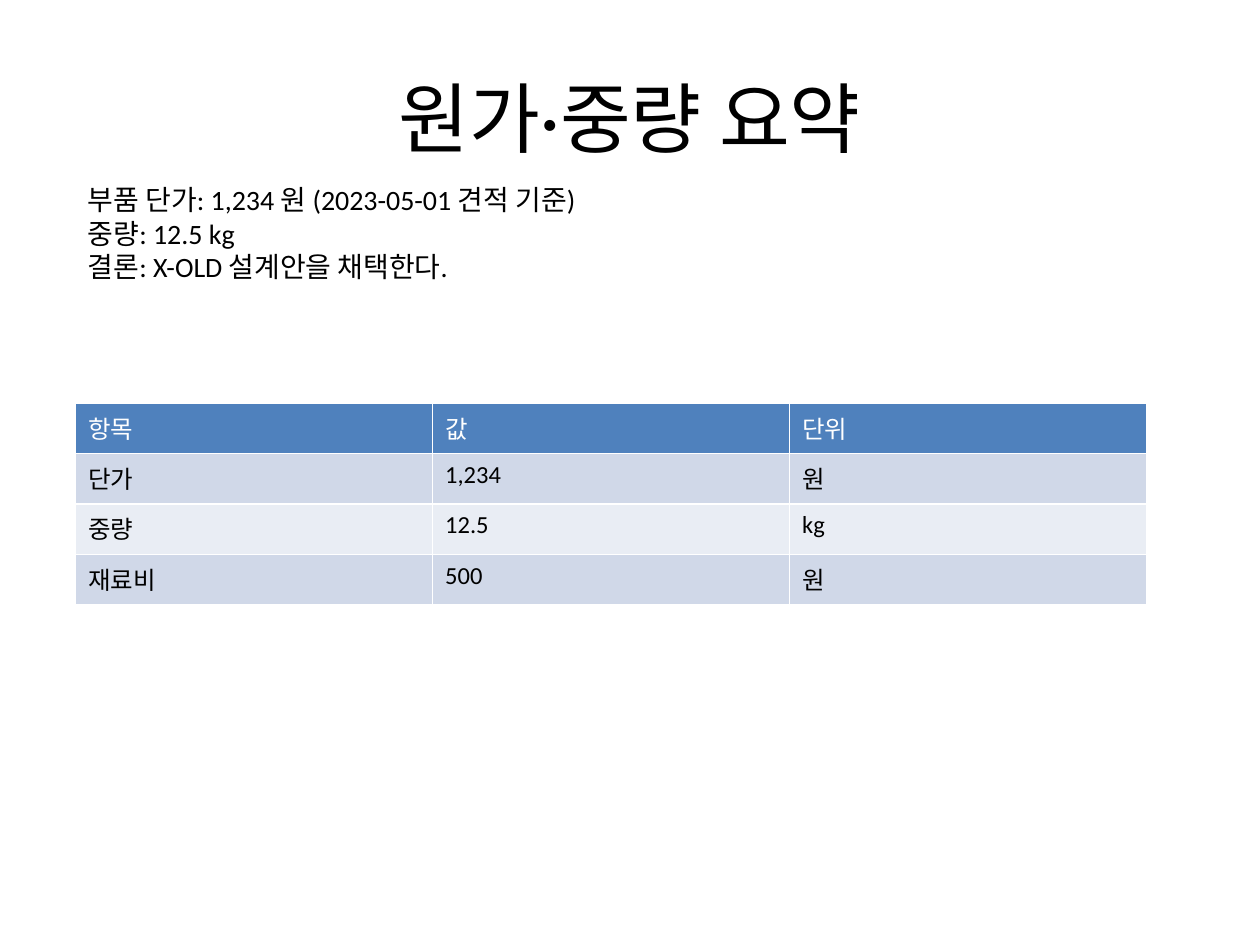
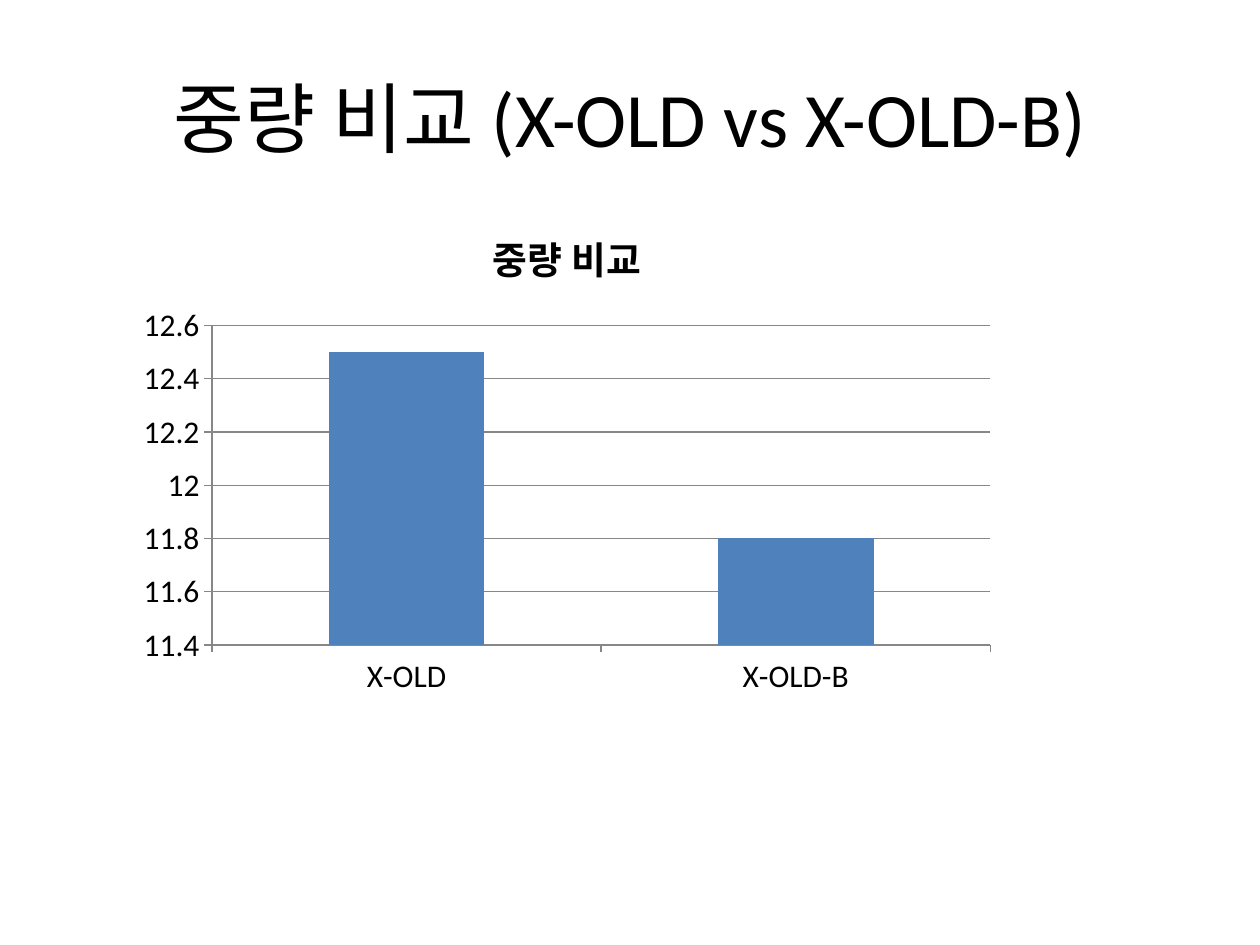
import pptx
import pptx.chart.data
import pptx.dml.color
import pptx.enum.chart
import pptx.enum.text
import pptx.util

PX = 9144  # 100 px to the inch
BLACK, WHITE, BLUE, GREY = "000000", "FFFFFF", "4F81BD", "878787"
BANDS = ("D0D8E8", "E9EDF4")


def rgb(value):
    return pptx.dml.color.RGBColor.from_string(value)


class Deck:
    """Presentation style and the slide being filled."""

    font_name = "Calibri"

    def __init__(self, width, height):
        self.prs = pptx.Presentation()
        self.prs.slide_width, self.prs.slide_height = width * PX, height * PX

    def add_slide(self, title):
        self.s = self.prs.slides.add_slide(self.prs.slide_layouts[6])
        tf = self.text(50, 30, 900, 125, [title], 44)
        tf.vertical_anchor = pptx.enum.text.MSO_ANCHOR.MIDDLE
        tf.paragraphs[0].alignment = pptx.enum.text.PP_ALIGN.CENTER

    def style(self, font, size, color=BLACK, bold=False):
        font.name, font.size, font.bold = self.font_name, pptx.util.Pt(size), bold
        font.color.rgb = rgb(color)

    def text(self, x, y, w, h, lines, size):
        tf = self.s.shapes.add_textbox(x * PX, y * PX, w * PX, h * PX).text_frame
        tf.word_wrap = True
        tf.text = "\n".join(lines)
        for p in tf.paragraphs:
            for r in p.runs:
                self.style(r.font, size)
        return tf

    def table(self, x, y, w, h, rows, size):
        """Add a table with a header row and banded body rows."""
        frame = self.s.shapes.add_table(
            len(rows), len(rows[0]), x * PX, y * PX, w * PX, h * PX)
        for i, row in enumerate(rows):
            fill, color = (BANDS[(i - 1) % 2], BLACK) if i else (BLUE, WHITE)
            for j, value in enumerate(row):
                cell = frame.table.cell(i, j)
                cell.fill.solid()
                cell.fill.fore_color.rgb = rgb(fill)
                cell.text = value
                self.style(cell.text_frame.paragraphs[0].runs[0].font, size, color)

    def column_chart(self, x, y, w, h, title, categories, values, scale, size):
        """Add a one-series column chart; scale is (minimum, maximum, step)."""
        data = pptx.chart.data.CategoryChartData()
        data.categories = categories
        data.add_series("Series 1", values)
        chart = self.s.shapes.add_chart(
            pptx.enum.chart.XL_CHART_TYPE.COLUMN_CLUSTERED,
            x * PX, y * PX, w * PX, h * PX, data).chart
        self.style(chart.font, size)
        chart.has_legend = False
        chart.has_title = True
        tf = chart.chart_title.text_frame
        tf.text = title
        self.style(tf.paragraphs[0].runs[0].font, size * 1.2, bold=True)

        plot = chart.plots[0]
        plot.vary_by_categories = False
        plot.gap_width = 150
        fill = plot.series[0].format.fill
        fill.solid()
        fill.fore_color.rgb = rgb(BLUE)

        axis = chart.value_axis
        axis.minimum_scale, axis.maximum_scale, axis.major_unit = scale
        axis.has_major_gridlines = True
        for part in (axis, chart.category_axis, axis.major_gridlines):
            part.format.line.color.rgb = rgb(GREY)
            part.format.line.width = pptx.util.Pt(0.75)


def main():
    deck = Deck(1000, 750)

    deck.add_slide("원가·중량 요약")
    deck.text(60, 140, 850, 160, [
        "부품 단가: 1,234 원 (2023-05-01 견적 기준)",
        "중량: 12.5 kg",
        "결론: X-OLD 설계안을 채택한다.",
    ], 16)
    deck.table(60, 320, 850, 160, [
        ("항목", "값", "단위"),
        ("단가", "1,234", "원"),
        ("중량", "12.5", "kg"),
        ("재료비", "500", "원"),
    ], 14)

    deck.add_slide("중량 비교 (X-OLD vs X-OLD-B)")
    deck.column_chart(100, 160, 700, 400, "중량 비교", ("X-OLD", "X-OLD-B"),
                      (12.5, 11.8), (11.4, 12.6, 0.2), 18)

    deck.prs.save("out.pptx")


if __name__ == "__main__":
    main()
